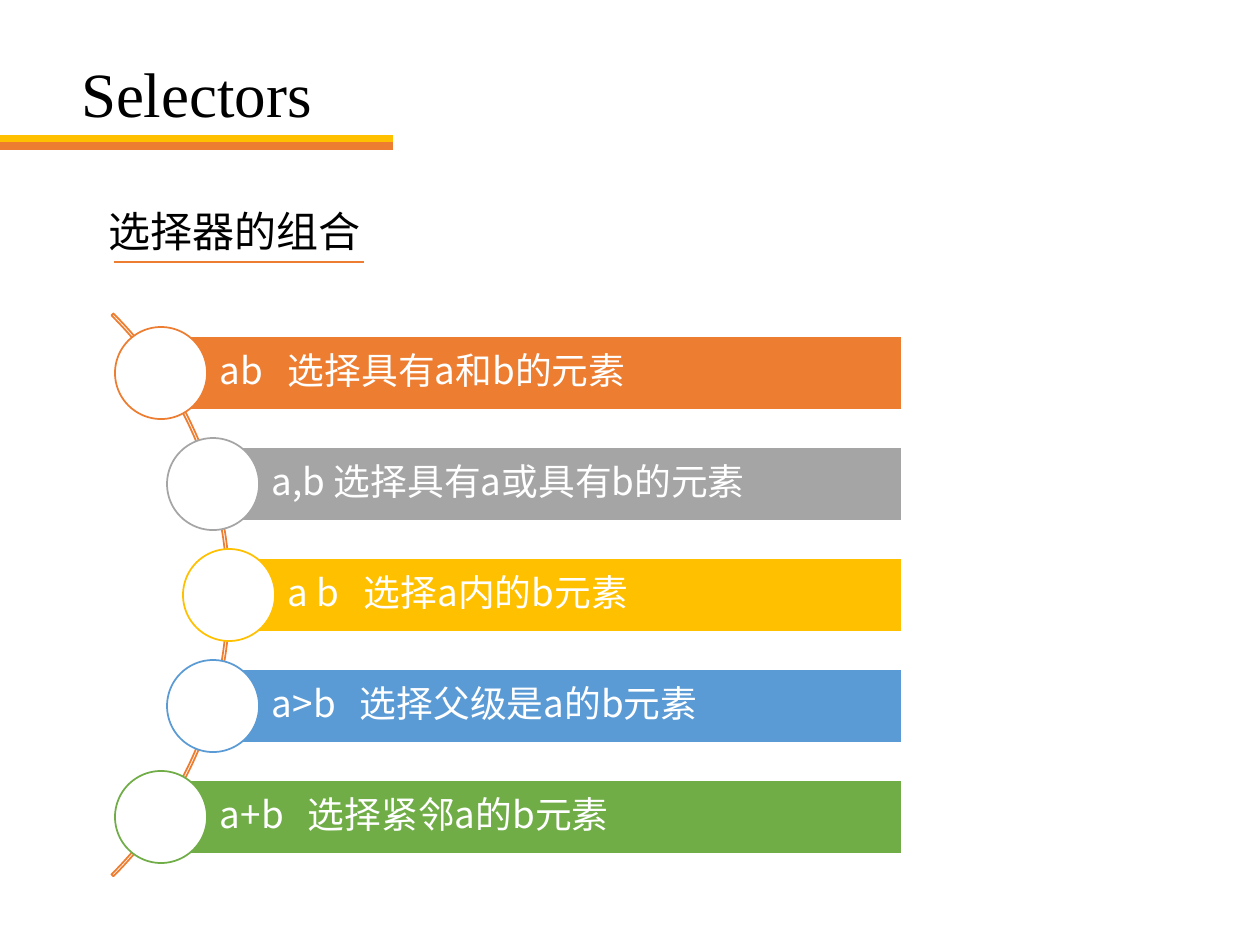
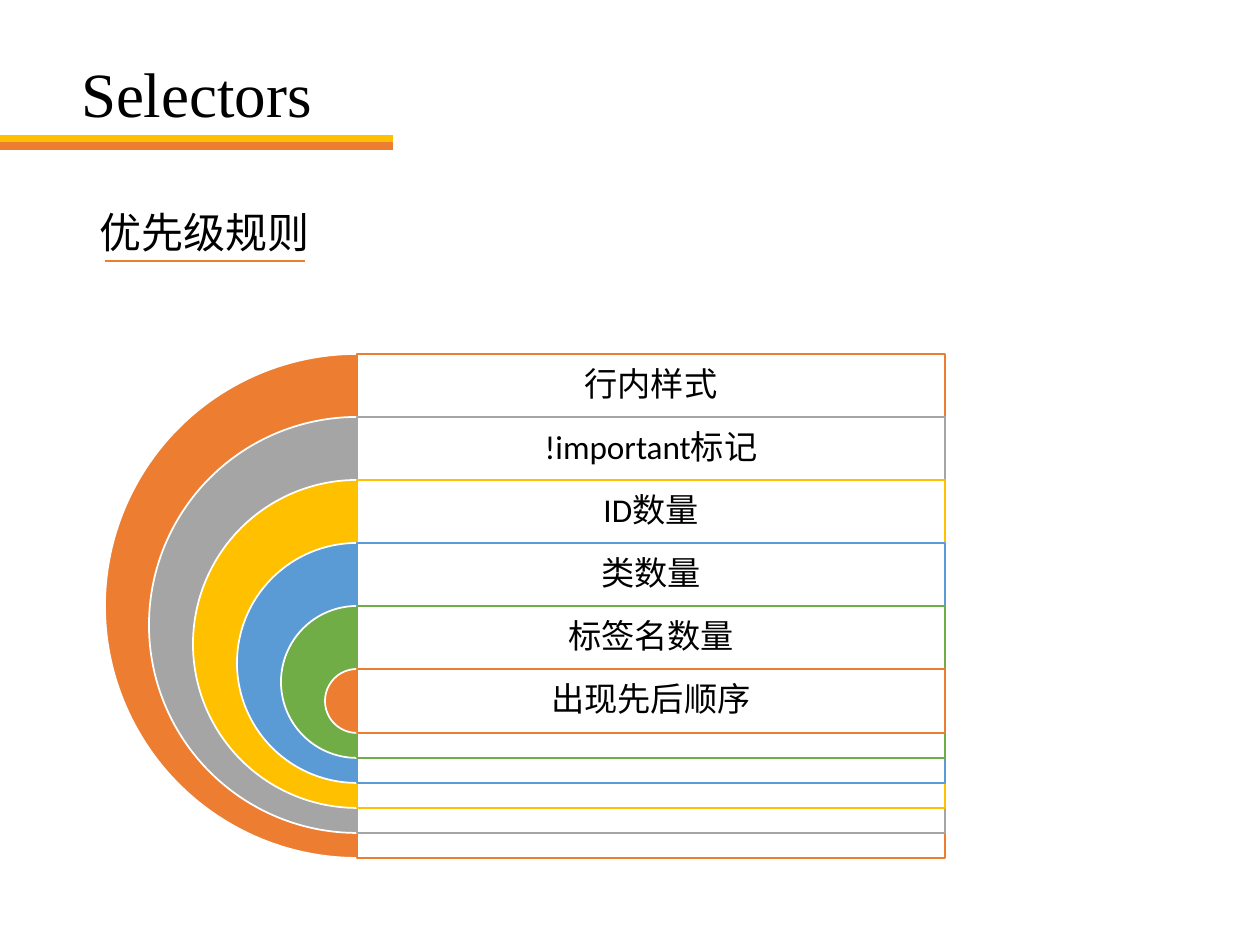
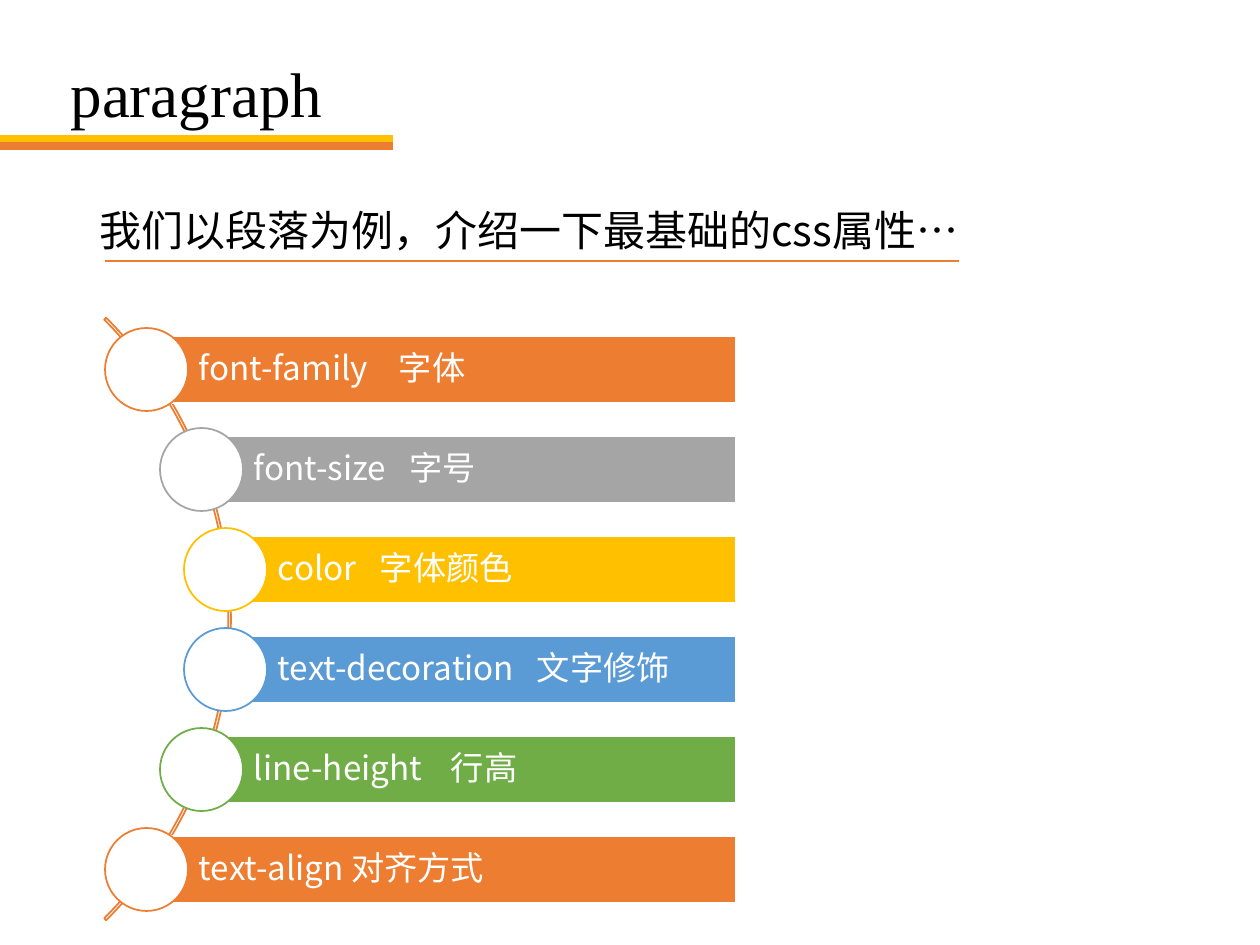
from dataclasses import dataclass
from math import sqrt
from typing import Any, Optional

from lxml import etree
from pptx import Presentation
from pptx import util as u
from pptx.dml.color import RGBColor
from pptx.enum import shapes, text
from pptx.oxml.ns import qn

SCALE = 914400 / 126  # EMU in one px
Box = tuple[int, int, int, int]
MSO, ALIGN, ANCHOR = shapes.MSO_SHAPE, text.PP_ALIGN, text.MSO_ANCHOR


@dataclass(frozen=True)
class Theme:
    white: str = "FFFFFF"
    black: str = "000000"
    gold: str = "FFC000"
    orange: str = "ED7D31"
    accents: tuple[str, ...] = ("ED7D31", "A5A5A5", "FFC000", "5B9BD5", "70AD47")
    title_font: str = "Times New Roman"
    cjk_font: str = "Noto Sans CJK SC"
    panel_font: str = "Calibri"
    title_size: int = 36
    heading_size: int = 24
    large_size: int = 21
    item_size: int = 19
    thin: float = 1
    band: float = 4.5

    def accent(self, i: int) -> str:
        return self.accents[i % len(self.accents)]


T = Theme()


@dataclass(frozen=True)
class Heading:
    words: str
    box: Box
    rule: tuple[int, int, int]  # left, right, y
    wrap: bool = False


@dataclass(frozen=True)
class Item:
    words: str
    tab: Optional[int] = None  # where the description starts


@dataclass(frozen=True)
class Chain:
    """Bars whose round nodes sit along an arc."""
    items: tuple[Item, ...]
    centre: tuple[int, int]
    radius: int
    node_inset: int  # from the arc to the node centres
    thickness: float
    top: int
    pitch: int
    bar_height: int
    right: int
    node: int
    margins: tuple[int, int]  # left, other sides
    size: int


@dataclass(frozen=True)
class Onion:
    """Nested half discs, each with a labelled panel."""
    labels: tuple[str, ...]
    centre_x: int = 357
    top: int = 354
    pitch: int = 63
    diameter: int = 504
    shrink: int = 88
    panel_width: int = 588
    margin: int = 10


# ---- helpers ----
def px(n: float) -> u.Emu:
    return u.Emu(round(n * SCALE))


def apply(obj: Any, **fmt: Any) -> None:
    for name, value in fmt.items():
        setattr(obj, name, value)


def add_line(s: Any, x1: int, x2: int, y: int, colour: str, width: float) -> Any:
    cn = s.shapes.add_connector(shapes.MSO_CONNECTOR.STRAIGHT, px(x1), px(y), px(x2), px(y))
    cn.line.color.rgb = RGBColor.from_string(colour)
    cn.line.width = u.Pt(width)
    etree.SubElement(cn.element.spPr, qn("a:effectLst"))
    return cn


def add_shape(s: Any, kind: Any, box: Box, fill: Optional[str], line: str,
              adj: tuple[float, ...] = (), opacity: int = 100) -> Any:
    sp = s.shapes.add_shape(kind, *map(px, box))
    sp.shadow.inherit = False
    for i, value in enumerate(adj):
        sp.adjustments[i] = value
    if fill is None:
        sp.fill.background()
    else:
        sp.fill.solid()
        sp.fill.fore_color.rgb = RGBColor.from_string(fill)
    if opacity < 100:
        clr = sp.element.spPr.find(qn("a:solidFill")).find(qn("a:srgbClr"))
        etree.SubElement(clr, qn("a:alpha"), val=str(opacity * 1000))
    sp.line.color.rgb = RGBColor.from_string(line)
    sp.line.width = u.Pt(T.thin)
    return sp


def write(tf: Any, words: str, font: str, size: int, colour: str, align: Any = ALIGN.LEFT,
          spacing: float = 0.9, tab: Optional[int] = None, **frame: Any) -> None:
    apply(tf, **frame)
    p = tf.paragraphs[0]
    apply(p, alignment=align, line_spacing=spacing)
    if tab is not None:
        tabs = etree.SubElement(p._p.get_or_add_pPr(), qn("a:tabLst"))
        etree.SubElement(tabs, qn("a:tab"), pos=str(px(tab)), algn="l")
    r = p.add_run()
    r.text = words
    apply(r.font, name=font, size=u.Pt(size))
    r.font.color.rgb = RGBColor.from_string(colour)
    etree.SubElement(r._r.get_or_add_rPr(), qn("a:ea"), typeface=T.cjk_font)


# ---- parts of the slides ----
def add_bands(s: Any, layout: Any) -> None:
    """Put the two title bands on the shared layout."""
    for y, colour in ((139, T.gold), (146, T.orange)):
        layout.shapes.element.append(add_line(s, 0, 393, y, colour, T.band).element)


def add_header(s: Any, title: str, heading: Heading) -> None:
    sp = s.shapes.title
    apply(sp, left=px(0), top=px(53), width=px(393), height=px(89))
    write(sp.text_frame, title, T.title_font, T.title_size, T.black, ALIGN.CENTER,
          vertical_anchor=ANCHOR.MIDDLE, auto_size=text.MSO_AUTO_SIZE.NONE)
    add_line(s, *heading.rule, T.orange, T.thin)
    box = s.shapes.add_textbox(*map(px, heading.box))
    write(box.text_frame, heading.words, T.cjk_font, T.heading_size, T.black, spacing=1.0,
          word_wrap=heading.wrap, auto_size=text.MSO_AUTO_SIZE.SHAPE_TO_FIT_TEXT)


def draw_chain(s: Any, c: Chain) -> None:
    cx, cy = c.centre
    add_shape(s, MSO.BLOCK_ARC, (cx - c.radius, cy - c.radius, 2 * c.radius, 2 * c.radius),
              None, T.orange, (189, 27, c.thickness))
    left_margin, margin = map(px, c.margins)
    for i, item in enumerate(c.items):
        y = c.top + i * c.pitch
        mid = y + c.bar_height // 2
        x = cx + round(sqrt((c.radius - c.node_inset) ** 2 - (mid - cy) ** 2))
        bar = add_shape(s, MSO.RECTANGLE, (x, y, c.right - x, c.bar_height), T.accent(i), T.white)
        write(bar.text_frame, item.words, T.cjk_font, c.size, T.white, tab=item.tab,
              word_wrap=True, vertical_anchor=ANCHOR.MIDDLE, margin_left=left_margin,
              margin_top=margin, margin_right=margin, margin_bottom=margin)
        add_shape(s, MSO.OVAL, (x - c.node // 2, mid - c.node // 2, c.node, c.node),
                  T.white, T.accent(i))


def draw_onion(s: Any, o: Onion) -> None:
    for i, label in enumerate(o.labels):
        y, d = o.top + i * o.pitch, o.diameter - i * o.shrink
        add_shape(s, MSO.PIE, (o.centre_x - d // 2, y, d, d), T.accent(i), T.white, (54, 162))
        panel = add_shape(s, MSO.RECTANGLE, (o.centre_x, y, o.panel_width, d),
                          T.white, T.accent(i), opacity=90)
        # The bottom margin keeps the label in the uncovered strip
        write(panel.text_frame, label, T.panel_font, T.item_size, T.black, ALIGN.CENTER,
              word_wrap=True, vertical_anchor=ANCHOR.MIDDLE, margin_left=px(o.margin),
              margin_right=px(o.margin), margin_top=px(o.margin),
              margin_bottom=px(o.margin + d - o.pitch))


# ---- content ----
COMBINATORS = Chain(
    (Item("ab\t选择具有a和b的元素", 68), Item("a,b 选择具有a或具有b的元素"),
     Item("a b\t选择a内的b元素", 76), Item("a>b\t选择父级是a的b元素", 88),
     Item("a+b\t选择紧邻a的b元素", 88)),
    centre=(-168, 595), radius=398, node_inset=1, thickness=0.0034, top=336, pitch=111,
    bar_height=74, right=902, node=92, margins=(59, 8), size=T.large_size)

PROPERTIES = Chain(
    (Item("font-family\t字体", 200), Item("font-size\t字号", 155),
     Item("color\t字体颜色", 102), Item("text-decoration\t文字修饰", 259),
     Item("line-height\t行高", 197), Item("text-align 对齐方式")),
    centre=(-195, 619), radius=426, node_inset=3, thickness=0.0032, top=336, pitch=100,
    bar_height=67, right=736, node=83, margins=(53, 7), size=T.item_size)

PRIORITY = Onion(("行内样式", "!important标记", "ID数量", "类数量", "标签名数量", "出现先后顺序"))

SLIDES = (
    ("Selectors", Heading("选择器的组合", (96, 199, 281, 63), (114, 364, 262)),
     draw_chain, COMBINATORS),
    ("Selectors", Heading("优先级规则", (87, 200, 246, 63), (105, 305, 261)),
     draw_onion, PRIORITY),
    ("paragraph", Heading("我们以段落为例，介绍一下最基础的css属性…", (87, 198, 932, 63),
                          (105, 959, 261), wrap=True),
     draw_chain, PROPERTIES),
)


def main() -> None:
    prs = Presentation()
    apply(prs, slide_width=px(1260), slide_height=px(945))
    layout = prs.slide_layouts[5]
    for i, (title, heading, draw, diagram) in enumerate(SLIDES):
        s = prs.slides.add_slide(layout)
        if i == 0:
            add_bands(s, layout)
        add_header(s, title, heading)
        draw(s, diagram)
    prs.save("out.pptx")


if __name__ == "__main__":
    main()
